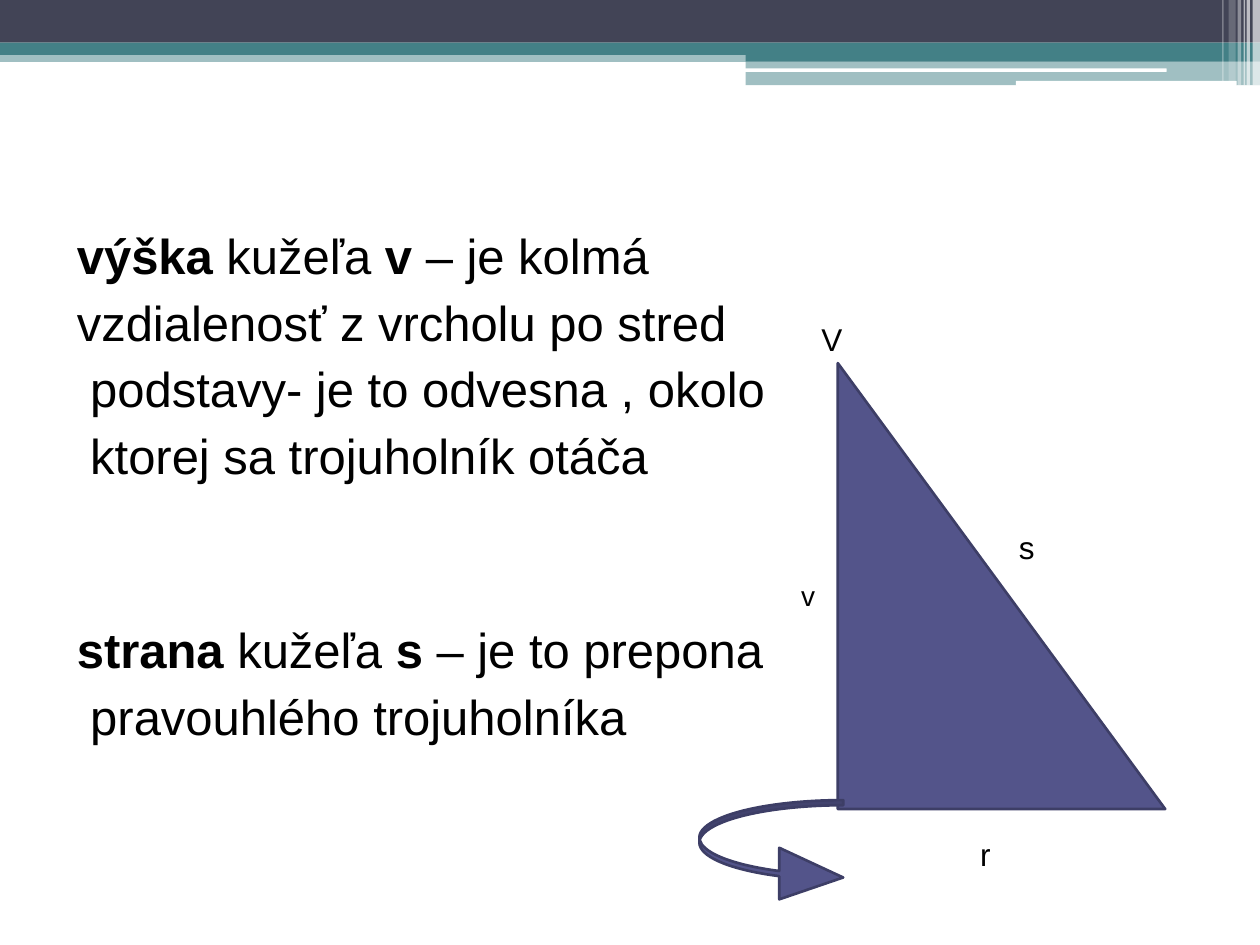
from lxml import etree
from pptx import Presentation
from pptx.dml.color import RGBColor
from pptx.enum import shapes, text
from pptx.oxml import ns
from pptx.util import Cm, Pt

COLORS = {"dark": "424456", "teal": "438086", "white": "FFFFFF",
          "fill": "53548A", "edge": "3D3E66", "ink": "000000"}
KIND = shapes.MSO_SHAPE


def draw(kind, box, color, alpha=100, edge=None):
    shape = slide.shapes.add_shape(kind, *[Cm(n) for n in box])
    shape.shadow.inherit = False
    shape.fill.solid()
    shape.fill.fore_color.rgb = RGBColor.from_string(COLORS[color])
    if alpha < 100:
        tint = shape.element.spPr.find(".//" + ns.qn("a:srgbClr"))
        etree.SubElement(tint, ns.qn("a:alpha")).set("val", str(alpha * 1000))
    if edge:
        shape.line.color.rgb = RGBColor.from_string(COLORS[edge])
        shape.line.width = Pt(1.5)
    else:
        shape.line.fill.background()
    return shape


def style(run, size, bold=False):
    run.font.name = "Arial"
    run.font.size = Pt(size)
    run.font.bold = bold
    run.font.color.rgb = RGBColor.from_string(COLORS["ink"])


deck = Presentation()
deck.slide_width, deck.slide_height = Cm(25.4), Cm(19.05)
slide = deck.slides.add_slide(deck.slide_layouts[6])

bands = [
    (0, 1.02, 25.4, 0.23, "teal", 50),
    (0, 0, 25.4, 0.86, "dark", 100),
    (0, 0.86, 25.4, 0.25, "teal", 100),
    (15.03, 0.99, 10.37, 0.25, "teal", 100),
    (15.03, 1.24, 10.37, 0.48, "teal", 50),
]
for *box, color, alpha in bands:
    draw(KIND.RECTANGLE, box, color, alpha)

for box in [(15.01, 1.38, 8.51, 0.07), (20.48, 1.63, 4.45, 0.1)]:
    draw(KIND.ROUNDED_RECTANGLE, box, "white")

stripes = [(25.25, 0.15, 1.73, 65), (25.13, 0.07, 1.73, 65),
           (25.07, 0.03, 1.73, 60), (24.95, 0.07, 1.73, 40),
           (24.77, 0.14, 1.63, 20), (24.64, 0.03, 1.63, 30)]
for left, width, height, alpha in stripes:
    draw(KIND.RECTANGLE, (left, 0, width, height), "white", alpha)

lines = [
    (0, 0, [("výška", True), (" kužeľa ", False), ("v", True),
            (" – je kolmá", False)]),
    (4.4, 0, [("vzdialenosť z vrcholu po stred", False)]),
    (4.4, 0.27, [("podstavy- je to odvesna , okolo", False)]),
    (4.4, 0.27, [("ktorej sa trojuholník otáča", False)]),
    (77.6, 0, [("strana ", True), ("kužeľa ", False), ("s", True),
               (" – je to prepona", False)]),
    (4.4, 0.27, [("pravouhlého trojuholníka", False)]),
]
body = slide.shapes.add_textbox(Cm(1.3), Cm(4.32), Cm(22.86), Cm(12.01))
frame = body.text_frame
frame.word_wrap = True
frame.margin_top = Cm(0.23)
for num, (gap, indent, parts) in enumerate(lines):
    para = frame.add_paragraph() if num else frame.paragraphs[0]
    para.space_before = Pt(gap)
    para._p.get_or_add_pPr().set("marL", str(Cm(indent)))
    for words, bold in parts:
        run = para.add_run()
        run.text = words
        style(run, 28, bold)

draw(KIND.RIGHT_TRIANGLE, (16.89, 7.32, 6.6, 8.99), "fill", edge="edge")
arrow = draw(KIND.CURVED_LEFT_ARROW, (14.1, 16.13, 2.9, 2.08), "fill", edge="edge")
arrow.element.spPr.xfrm.set("flipH", "1")
for num, value in enumerate([0.05, 0.5, 0.62]):
    arrow.adjustments[num] = value

labels = [("V", 16.31, 6.32, 0.94, 1.02, 18), ("v", 15.9, 11.53, 0.79, 0.94, 16),
          ("s", 20.29, 10.52, 0.84, 1.02, 18), ("r", 19.51, 16.71, 0.74, 1.02, 18)]
for name, *box, size in labels:
    label = slide.shapes.add_textbox(*[Cm(n) for n in box])
    label.text_frame.text = name
    label.text_frame.word_wrap = False
    label.text_frame.auto_size = text.MSO_AUTO_SIZE.SHAPE_TO_FIT_TEXT
    style(label.text_frame.paragraphs[0].runs[0], size)

deck.save("out.pptx")
